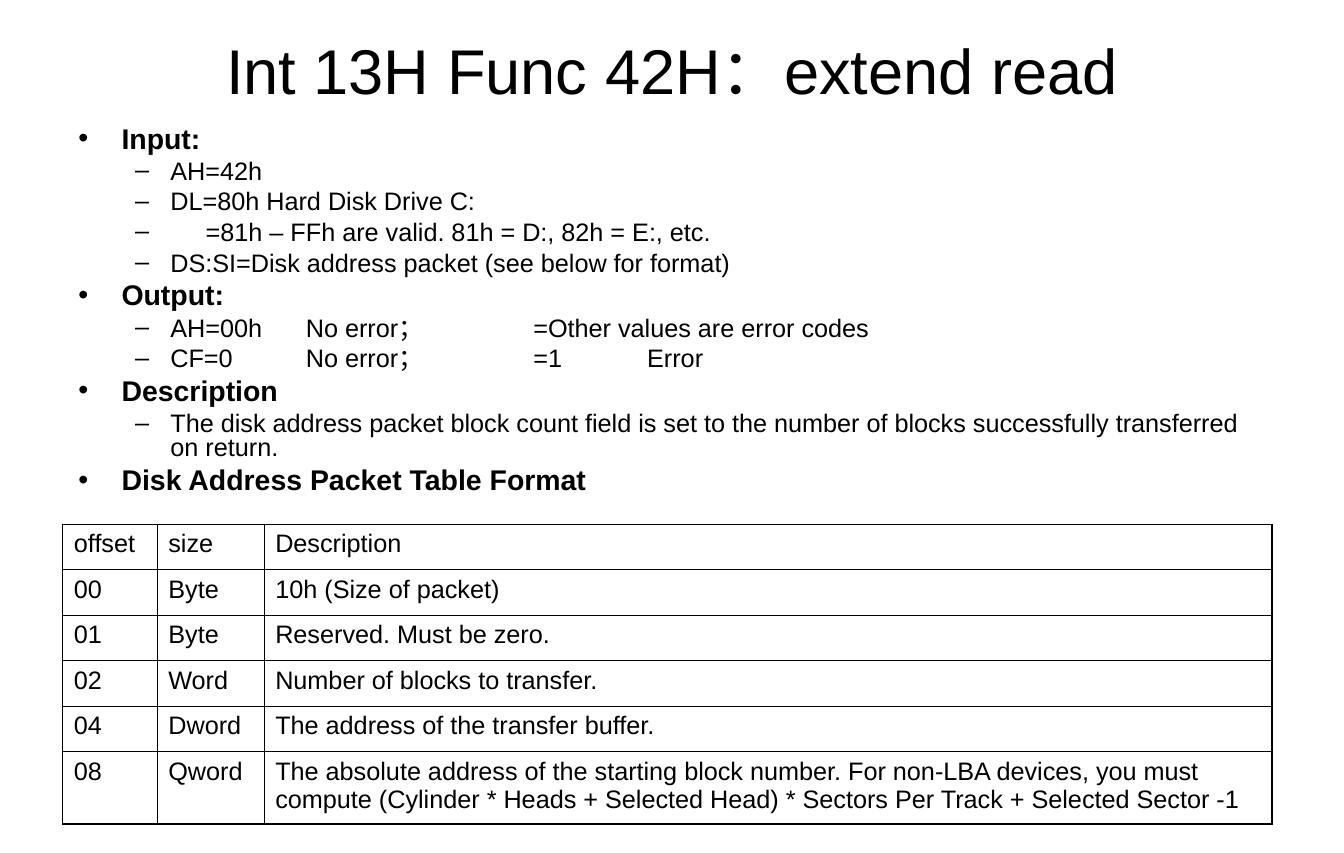
from lxml.etree import SubElement
from pptx import Presentation
from pptx.dml.color import RGBColor
from pptx.enum.text import MSO_ANCHOR, PP_ALIGN
from pptx.oxml.ns import qn
from pptx.util import Inches, Pt

BLACK = RGBColor(0x00, 0x00, 0x00)
FONT = "Arial"
OUTER_LINE, INNER_LINE = Pt(1.08), Pt(0.45)

TITLE = "Int 13H Func 42H：extend read"
# Each section: heading, then (text, left indent in inches) items
ITEM_INDENT = 0.81
SECTIONS = [
    ("Input:", [
        ("AH=42h", ITEM_INDENT),
        ("DL=80h Hard Disk Drive C:", ITEM_INDENT),
        ("=81h – FFh are valid. 81h = D:, 82h = E:, etc.", 1.12),
        ("DS:SI=Disk address packet (see below for format)", ITEM_INDENT),
    ]),
    ("Output:", [
        ("AH=00h\tNo error；\t=Other values are error codes", ITEM_INDENT),
        ("CF=0\tNo error；\t=1\tError", ITEM_INDENT),
    ]),
    ("Description", [
        ("The disk address packet block count field is set to the number of "
         "blocks successfully transferred on return.", ITEM_INDENT),
    ]),
    ("Disk Address Packet Table Format", []),
]
PACKET_ROWS = [
    ("offset", "size", "Description"),
    ("00", "Byte", "10h (Size of packet)"),
    ("01", "Byte", "Reserved. Must be zero."),
    ("02", "Word", "Number of blocks to transfer."),
    ("04", "Dword", "The address of the transfer buffer."),
    ("08", "Qword", "The absolute address of the starting block number. "
     "For non-LBA devices, you must compute (Cylinder * Heads + Selected Head)"
     " * Sectors Per Track + Selected Sector -1"),
]
COLUMN_WIDTHS = (0.83, 0.94, 8.86)
ROW_HEIGHTS = (0.4, 0.4, 0.4, 0.4, 0.4, 0.63)


def add_run(paragraph, text, size, bold=False):
    run = paragraph.add_run()
    run.text = text
    font = run.font
    font.name, font.size, font.bold = FONT, Pt(size), bold
    font.color.rgb = BLACK


def add_text_frame(slide, left, top, width, height):
    box = slide.shapes.add_textbox(
        Inches(left), Inches(top), Inches(width), Inches(height))
    box.text_frame.word_wrap = True
    return box.text_frame


def set_bullet(paragraph, character, bullet_left, text_left):
    """Hang the text at text_left behind a bullet at bullet_left (inches)."""
    properties = paragraph._p.get_or_add_pPr()
    properties.set("marL", str(Inches(text_left)))
    properties.set("indent", str(Inches(bullet_left) - Inches(text_left)))
    color = SubElement(properties, qn("a:buClr"))
    SubElement(color, qn("a:srgbClr"), val=str(BLACK))
    SubElement(properties, qn("a:buFont"), typeface=FONT)
    SubElement(properties, qn("a:buChar"), char=character)


def set_inch_tabs(paragraph):
    tabs = SubElement(paragraph._p.get_or_add_pPr(), qn("a:tabLst"))
    for inch in range(1, 9):
        SubElement(tabs, qn("a:tab"), pos=str(Inches(inch)), algn="l")


def add_title(slide):
    frame = add_text_frame(slide, 0.59, 0.3, 10.63, 0.61)
    frame.vertical_anchor = MSO_ANCHOR.MIDDLE
    paragraph = frame.paragraphs[0]
    paragraph.alignment = PP_ALIGN.CENTER
    add_run(paragraph, TITLE, 40)


def add_outline(slide):
    frame = add_text_frame(slide, 0.59, 1.07, 10.63, 3.39)
    for number, (heading, items) in enumerate(SECTIONS):
        paragraph = frame.add_paragraph() if number else frame.paragraphs[0]
        set_bullet(paragraph, "•", 0, 0.38)
        paragraph.space_before = Pt(4.5 if number else 0)
        add_run(paragraph, heading, 18, bold=True)
        for text, text_left in items:
            paragraph = frame.add_paragraph()
            paragraph.level = 1
            set_bullet(paragraph, "–", 0.5, text_left)
            if "\t" in text:
                set_inch_tabs(paragraph)
            paragraph.space_before = Pt(4)
            add_run(paragraph, text, 16)
    for paragraph in frame.paragraphs:
        paragraph.line_spacing = 0.8


def set_borders(cell, outer_sides):
    """Draw all four borders, thicker on the sides at the table's edge."""
    properties = cell._tc.get_or_add_tcPr()
    for side in "LRTB":
        width = OUTER_LINE if side in outer_sides else INNER_LINE
        line = SubElement(properties, qn(f"a:ln{side}"), w=str(width))
        fill = SubElement(line, qn("a:solidFill"))
        SubElement(fill, qn("a:srgbClr"), val=str(BLACK))


def add_packet_table(slide):
    row_count, column_count = len(PACKET_ROWS), len(COLUMN_WIDTHS)
    table = slide.shapes.add_table(
        row_count, column_count, Inches(0.55), Inches(4.61),
        Inches(sum(COLUMN_WIDTHS)), Inches(sum(ROW_HEIGHTS))).table
    table.first_row = table.horz_banding = False
    for column, width in zip(table.columns, COLUMN_WIDTHS):
        column.width = Inches(width)
    for row, height in zip(table.rows, ROW_HEIGHTS):
        row.height = Inches(height)
    for row_index, texts in enumerate(PACKET_ROWS):
        for column_index, text in enumerate(texts):
            cell = table.cell(row_index, column_index)
            edges = {"L": column_index == 0,
                     "R": column_index == column_count - 1,
                     "T": row_index == 0,
                     "B": row_index == row_count - 1}
            set_borders(cell, [side for side in edges if edges[side]])
            cell.fill.background()
            add_run(cell.text_frame.paragraphs[0], text, 16)


def main():
    presentation = Presentation()
    presentation.slide_width = Inches(11 + 13 / 16)
    presentation.slide_height = Inches(7.5)
    slide = presentation.slides.add_slide(presentation.slide_layouts[6])
    add_title(slide)
    add_outline(slide)
    add_packet_table(slide)
    presentation.save("out.pptx")


if __name__ == "__main__":
    main()
